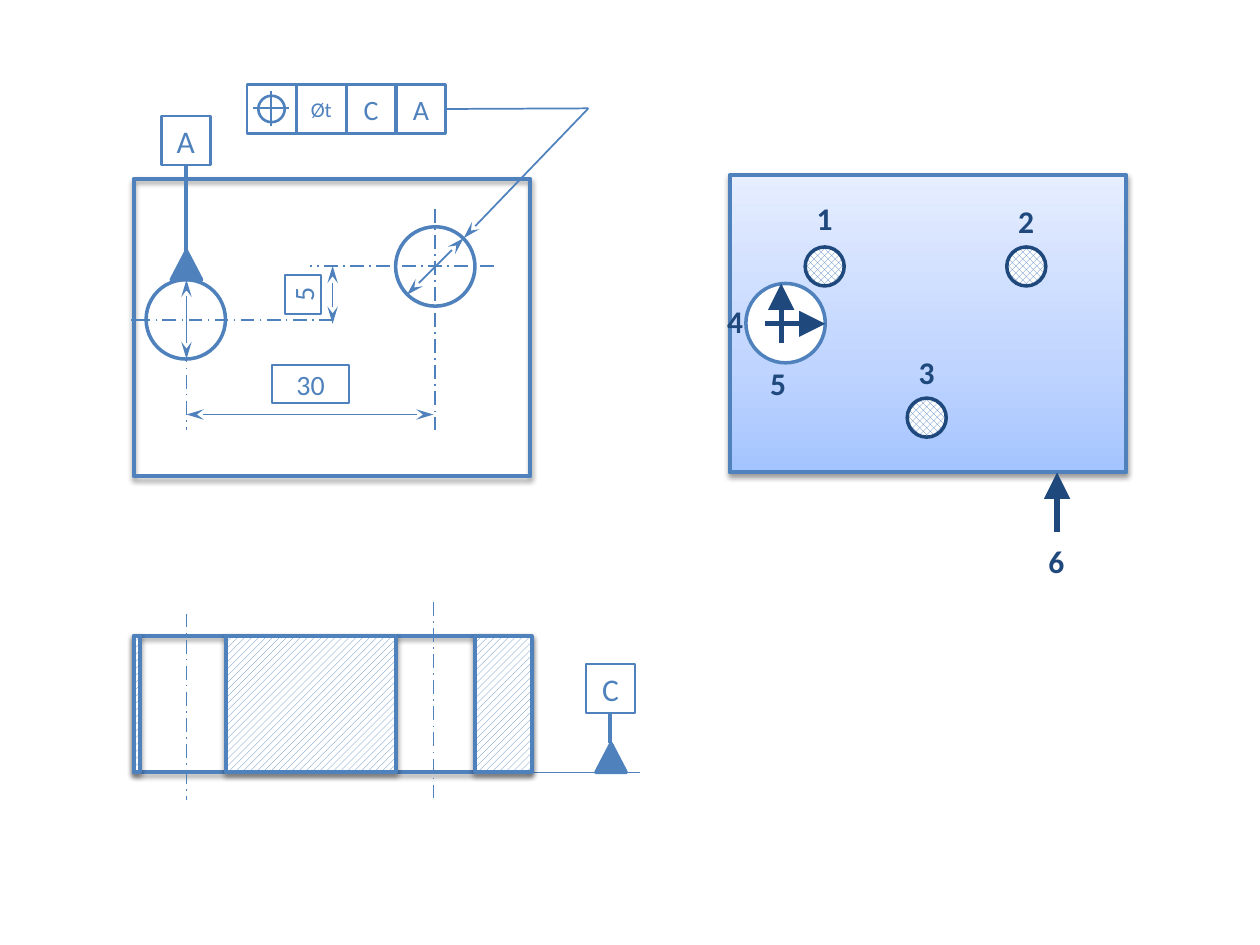
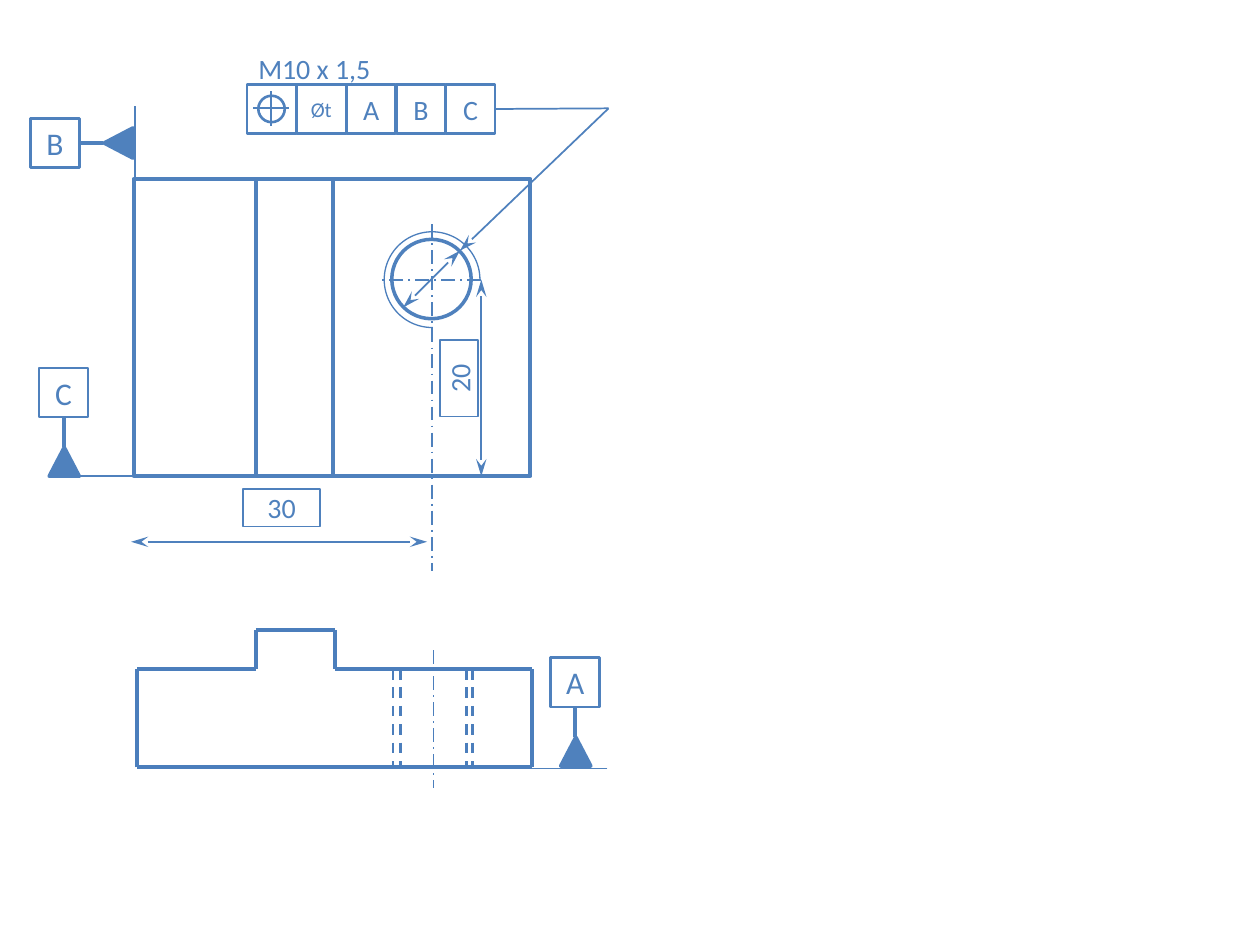
from copy import deepcopy

from lxml.etree import SubElement
from pptx import Presentation
from pptx.dml.color import RGBColor
from pptx.enum.dml import MSO_LINE_DASH_STYLE as DASH, MSO_PATTERN_TYPE as PATTERN
from pptx.enum.shapes import MSO_CONNECTOR, MSO_SHAPE as SHAPE
from pptx.enum.text import MSO_ANCHOR, PP_ALIGN
from pptx.oxml.ns import qn
from pptx.util import Inches, Pt

BLUE, PROFILE_BLUE, NAVY, WHITE = "4F81BD", "4B7EBC", "1F497D", "FFFFFF"
FONT = "Calibri"
BOX = 0.39
CELL = 0.395
HOLE = 0.63
PIN = 0.31
PLATE_W, PLATE_H = 3.15, 2.36
BOTTOM, RIGHT = 2, 3
AXIS = DASH.LONG_DASH_DOT


def rgb(value):
    """Turn a hex string into a colour."""
    return RGBColor.from_string(value)


def write(sp, text, size=16, color=BLUE, bold=False, align=PP_ALIGN.CENTER):
    """Put one formatted line of text in a shape."""
    tf = sp.text_frame
    tf.word_wrap = True
    tf.vertical_anchor = MSO_ANCHOR.MIDDLE
    tf.margin_left = tf.margin_right = tf.margin_top = tf.margin_bottom = 0
    p = tf.paragraphs[0]
    p.alignment = align
    r = p.add_run()
    r.text = text
    r.font.name, r.font.size, r.font.bold = FONT, Pt(size), bold
    r.font.color.rgb = rgb(color)


def label(slide, text, left, top, width=0.47, height=0.4, **style):
    """Add free-standing text."""
    sp = slide.shapes.add_textbox(Inches(left), Inches(top), Inches(width), Inches(height))
    write(sp, text, **style)


def shape(slide, kind, left, top, width, height, weight=2.25, color=BLUE,
          fill=None, pattern=None, rotation=0, shadow=False):
    """Add an outlined preset shape, unfilled unless told otherwise."""
    sp = slide.shapes.add_shape(kind, Inches(left), Inches(top), Inches(width), Inches(height))
    sp.rotation = rotation
    sp.line.color.rgb = rgb(color)
    sp.line.width = Pt(weight)
    if pattern:
        sp.fill.patterned()
        sp.fill.pattern = pattern
        sp.fill.fore_color.rgb, sp.fill.back_color.rgb = rgb(BLUE), rgb(WHITE)
    elif fill:
        sp.fill.solid()
        sp.fill.fore_color.rgb = rgb(fill)
    else:
        sp.fill.background()
    sp.shadow.inherit = False
    if shadow:
        cast_shadow(sp)
    return sp


def cast_shadow(sp):
    """Give a shape a soft shadow below it."""
    effects = sp._element.spPr.find(qn("a:effectLst"))
    outer = SubElement(effects, qn("a:outerShdw"), blurRad=str(Pt(3.1)), dist=str(Pt(1.6)),
                       dir="5400000", rotWithShape="0")
    black = SubElement(outer, qn("a:srgbClr"), val="000000")
    SubElement(black, qn("a:alpha"), val="38000")


def shade(sp, stops):
    """Fill a shape with a three-stop gradient running from bottom to top."""
    sp.fill.gradient()
    sp.fill.gradient_angle = 90
    first = sp._element.spPr.find(".//" + qn("a:gs"))
    first.addnext(deepcopy(first))
    for stop, (position, color) in zip(sp.fill.gradient_stops, stops):
        stop.position = position
        stop.color.rgb = rgb(color)


def line(slide, x1, y1, x2, y2, weight=1, color=BLUE, dash=None, head=None, tail=None,
         start=None, end=None):
    """Draw a straight line, with optional arrowheads and joins given as (shape, site)."""
    c = slide.shapes.add_connector(MSO_CONNECTOR.STRAIGHT,
                                   Inches(x1), Inches(y1), Inches(x2), Inches(y2))
    c.line.color.rgb = rgb(color)
    c.line.width = Pt(weight)
    if dash:
        c.line.dash_style = dash
    spPr = c._element.spPr
    for tag, kind in (("a:headEnd", head), ("a:tailEnd", tail)):
        if kind:
            width = "lg" if kind == "triangle" else "med"
            SubElement(spPr.find(qn("a:ln")), qn(tag), type=kind, w=width, len="lg")
    SubElement(spPr, qn("a:effectLst"))
    if start:
        c.begin_connect(*start)
    if end:
        c.end_connect(*end)


def dimension(slide, x1, y1, x2, y2):
    """Draw a measuring line with an arrow at each end."""
    line(slide, x1, y1, x2, y2, head="stealth", tail="stealth")


def axis(slide, x1, y1, x2, y2, color=BLUE):
    """Draw a dash-dot centre line."""
    line(slide, x1, y1, x2, y2, dash=AXIS, color=color)


def boxed(slide, text, left, top, width=0.61, height=0.3, weight=1, size=16, rotation=0):
    """Add a framed piece of text."""
    sp = shape(slide, SHAPE.RECTANGLE, left, top, width, height, weight, rotation=rotation)
    write(sp, text, size=size)
    return sp


def datum(slide, letter, left, top, stem=0.24, sideways=False):
    """Add a datum letter, its stem and its triangle, pointing down or to the right."""
    reach = BOX + stem
    middle = BOX / 2
    dx, dy = (reach, 0.08) if sideways else (0.08, reach)
    shape(slide, SHAPE.ISOSCELES_TRIANGLE, left + dx, top + dy, 0.24, 0.23, 2, fill=BLUE,
          rotation=270 if sideways else 0)
    box = boxed(slide, letter, left, top, BOX, BOX, 1.5, 18)
    x, y = (reach, middle) if sideways else (middle, reach)
    line(slide, left + middle, top + middle, left + x, top + y, weight=2.25,
         start=(box, RIGHT if sideways else BOTTOM))


def position_frame(slide, letters, corner_x, target):
    """Add a position tolerance frame and its leader to the target point."""
    left, top, leader_y = 1.96, 0.67, 0.86
    shape(slide, SHAPE.RECTANGLE, left, top, BOX, BOX, 1.5)
    shape(slide, SHAPE.OVAL, 2.05, 0.76, 0.21, 0.21, 1.5)
    line(slide, 2.15, 1, 2.15, 0.72)
    line(slide, 2.01, leader_y, 2.29, leader_y)
    for i, text in enumerate(["Øt", *letters], 1):
        cell = boxed(slide, text, left + i * CELL, top, BOX, BOX, 1.5, 12 if i == 1 else 16)
    line(slide, *target, corner_x, leader_y, head="stealth")
    line(slide, corner_x, leader_y, left + (i + 1) * CELL, leader_y, end=(cell, RIGHT))


def hole(slide, left, top, fill=None):
    """Add a drilled hole."""
    shape(slide, SHAPE.OVAL, left, top, HOLE, HOLE, 2, fill=fill)


def plate(slide, left, top, shadow=False):
    """Add the outline of the plate seen from above."""
    return shape(slide, SHAPE.RECTANGLE, left, top, PLATE_W, PLATE_H, shadow=shadow)


def locator(slide, number, left, top, label_top):
    """Add a numbered support pin."""
    shape(slide, SHAPE.OVAL, left, top, PIN, PIN, 2, NAVY, pattern=PATTERN.OUTLINED_DIAMOND)
    label(slide, number, left - 0.08, label_top, size=18, color=NAVY, bold=True)


def stop_arrow(slide, number, ends, label_at):
    """Add a numbered arrow that blocks one movement."""
    line(slide, *ends, weight=3, color=NAVY, tail="triangle")
    label(slide, number, *label_at, size=18, color=NAVY, bold=True)


def drilled_plate(slide):
    """Draw the plate with two holes, its section and its locating scheme."""
    located = plate(slide, 5.79, 1.39, shadow=True)
    shade(located, [(0, "A4C4FF"), (0.35, "BFD4FF"), (1, "E6EEFF")])
    for number, left, top, label_top in (("1", 6.39, 1.96, 1.53), ("2", 7.99, 1.96, 1.55),
                                         ("3", 7.2, 3.16, 2.75)):
        locator(slide, number, left, top, label_top)
    hole(slide, 5.92, 2.25, fill=WHITE)
    stop_arrow(slide, "4", (6.07, 2.57, 6.55, 2.57), (5.6, 2.35))
    stop_arrow(slide, "5", (6.2, 2.72, 6.2, 2.25), (5.94, 2.84))
    stop_arrow(slide, "6", (8.39, 4.22, 8.39, 3.75), (8.15, 4.25))

    plate(slide, 1.06, 1.42, shadow=True)
    datum(slide, "A", 1.28, 0.92, stem=0.68)
    hole(slide, 1.16, 2.22)
    hole(slide, 3.14, 1.8)
    position_frame(slide, "CA", 4.67, (3.68, 1.89))
    for ends in ((1.48, 1.94, 1.48, 3.41), (2.64, 2.54, 1.04, 2.54),
                 (3.92, 2.11, 2.46, 2.11), (3.45, 1.66, 3.45, 3.41)):
        axis(slide, *ends)
    for ends in ((1.48, 2.85, 1.48, 2.22), (1.48, 3.29, 3.44, 3.29),
                 (3.68, 1.89, 3.23, 2.34), (2.64, 2.57, 2.64, 2.11)):
        dimension(slide, *ends)
    boxed(slide, "30", 2.16, 2.9)
    boxed(slide, "5", 2.25, 2.19, 0.31, 0.29, rotation=270)

    shape(slide, SHAPE.RECTANGLE, 1.06, 5.05, PLATE_W, 1.08, shadow=True)
    line(slide, 5.08, 6.13, 4.2, 6.13)
    datum(slide, "C", 4.65, 5.27)
    axis(slide, 1.48, 4.87, 1.48, 6.35)
    axis(slide, 3.44, 4.78, 3.44, 6.35)
    for left, width in ((1.06, 0.05), (1.79, 1.35), (3.77, 0.45)):
        shape(slide, SHAPE.RECTANGLE, left, 5.05, width, 1.08,
              pattern=PATTERN.WIDE_UPWARD_DIAGONAL, shadow=True)


def ribbed_plate(slide):
    """Draw the plate with a rib and a threaded hole, and its front view."""
    plate(slide, 1.06, 1.42)
    shape(slide, SHAPE.RECTANGLE, 2.03, 1.42, 0.61, PLATE_H)
    for ends in ((4.82, 6.1, 3.94, 6.1), (1.31, 3.78, 0.43, 3.78), (1.07, 1.78, 1.07, 0.84)):
        line(slide, *ends)
    datum(slide, "A", 4.37, 5.22)
    datum(slide, "B", 0.24, 0.94, stem=0.19, sideways=True)
    datum(slide, "C", 0.31, 2.92)

    hole(slide, 3.11, 1.9)
    thread = shape(slide, SHAPE.ARC, 3.05, 1.84, 0.76, 0.76, 0.75, PROFILE_BLUE)
    thread.adjustments[0], thread.adjustments[1] = 53.4, 0
    axis(slide, 3.43, 1.78, 3.43, 4.53)
    axis(slide, 3.82, 2.22, 3, 2.22)
    label(slide, "M10 x 1,5", 2.05, 0.39, 1.13, 0.3, align=PP_ALIGN.LEFT)
    position_frame(slide, "ABC", 4.83, (3.65, 1.99))
    for ends in ((3.2, 2.44, 3.65, 1.99), (3.82, 3.78, 3.82, 2.22), (1.04, 4.3, 3.39, 4.3)):
        dimension(slide, *ends)
    boxed(slide, "30", 1.93, 3.88)
    boxed(slide, "20", 3.34, 2.85, rotation=270)

    base, shoulder, rib_top = 6.09, 5.31, 5
    profile = [(1.09, base), (1.09, shoulder), (2.03, shoulder), (2.03, rib_top),
               (2.66, rib_top), (2.66, shoulder), (4.22, shoulder), (4.22, base), (1.09, base)]
    for begin, end in zip(profile, profile[1:]):
        line(slide, *begin, *end, weight=2.25, color=PROFILE_BLUE)
    for x in (3.12, 3.18, 3.7, 3.75):
        line(slide, x, shoulder, x, base, weight=1.5, color=PROFILE_BLUE, dash=DASH.DASH)
    axis(slide, 3.44, 5.16, 3.44, 6.25, PROFILE_BLUE)


def main():
    """Build both drawings and save them."""
    prs = Presentation()
    prs.slide_width, prs.slide_height = Inches(10), Inches(7.5)
    for draw in (drilled_plate, ribbed_plate):
        draw(prs.slides.add_slide(prs.slide_layouts[6]))
    prs.save("out.pptx")


if __name__ == "__main__":
    main()
